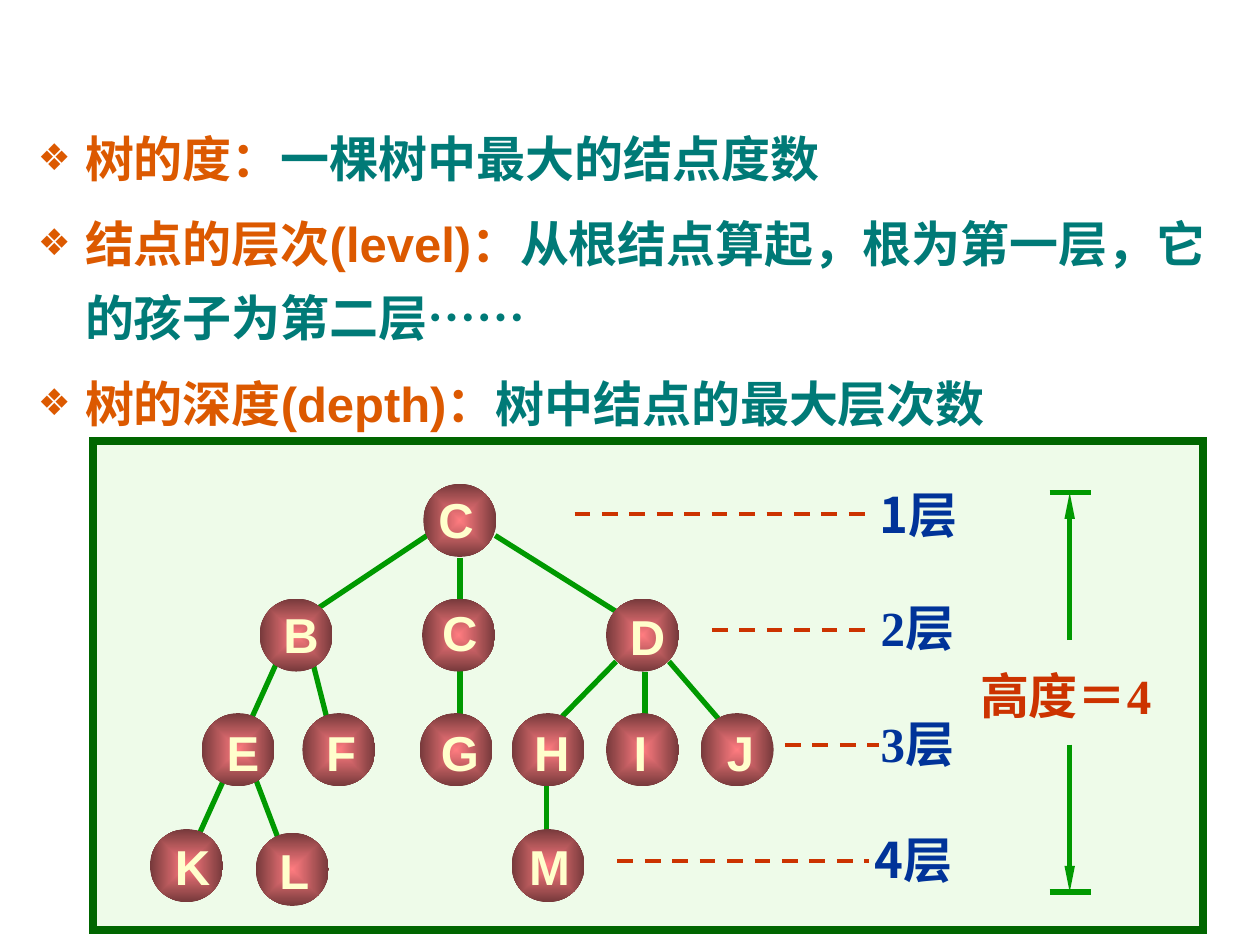
from lxml.etree import SubElement
from pptx import Presentation
from pptx.dml.color import RGBColor
from pptx.enum.dml import MSO_LINE
from pptx.enum.shapes import MSO_CONNECTOR, MSO_SHAPE
from pptx.enum.text import MSO_ANCHOR, MSO_AUTO_SIZE
from pptx.oxml import parse_xml
from pptx.oxml.ns import nsdecls, qn
from pptx.util import Inches, Pt

ORANGE = RGBColor(0xDC, 0x59, 0x00)
TEAL = RGBColor(0x00, 0x7A, 0x77)
DARK_GREEN = RGBColor(0x00, 0x66, 0x00)
PALE_GREEN = RGBColor(0xEE, 0xFB, 0xE9)
GREEN = RGBColor(0x00, 0x99, 0x00)
RED = RGBColor(0xCC, 0x33, 0x00)
BLUE = RGBColor(0x00, 0x33, 0x99)
CREAM = RGBColor(0xFF, 0xFF, 0xCC)
NODE_CENTER = RGBColor(0xFF, 0x7C, 0x80)
NODE_EDGE = RGBColor(0x76, 0x39, 0x3B)

SANS, CHINESE, SERIF = "Arial", "Noto Sans CJK SC", "Times New Roman"
COLUMNS, ROWS = 100, 75
NODE_SIZE = 5.8
LABEL_HEIGHT = 5.7
LEVEL_WIDTH = 9.1

DEFINITIONS = [
    ("树的度：", "一棵树中最大的结点度数"),
    ("结点的层次(level)：", "从根结点算起，根为第一层，它的孩子为第二层……"),
    ("树的深度(depth)：", "树中结点的最大层次数"),
]
NODES = [
    ("C", 33.6, 38.4, 33.8, 38.3, 4.8),
    ("B", 20.6, 47.5, 21.5, 47.5, 4.8),
    ("C", 33.5, 47.5, 34.1, 47.3, 4.8),
    ("D", 48.1, 47.5, 49, 47.6, 4.8),
    ("E", 16, 56.6, 17, 56.8, 4.6),
    ("F", 24, 56.6, 24.9, 56.8, 4.4),
    ("G", 33.3, 56.6, 34, 56.8, 5),
    ("H", 40.6, 56.6, 41.4, 56.8, 4.8),
    ("I", 48.1, 56.6, 49.3, 56.8, 3.1),
    ("J", 55.6, 56.6, 56.7, 56.8, 4.1),
    ("K", 11.9, 65.8, 12.9, 65.9, 4.8),
    ("L", 20.3, 66.1, 21.2, 66.2, 4.4),
    ("M", 40.6, 65.8, 41, 65.9, 5.2),
]
BRANCHES = [
    (39.3, 42.5, 49.8, 49.1), (33.9, 42.5, 24, 49.1), (36.5, 44.3, 36.5, 62),
    (53.1, 52.5, 58.1, 58.3), (48.9, 52.5, 44, 57.5), (51.2, 53.3, 51.2, 57.5),
    (43.4, 62.3, 43.4, 67.5), (24.8, 52.5, 26.3, 58.4),
    (20.2, 61.6, 22.1, 66.6), (22, 52.5, 14.5, 69.1),
]
LEVELS = [
    (45.6, 69, 40.8, "1层", 68.8, 37.9, CHINESE),
    (56.5, 69, 50, "2层", 68.9, 46.9, SERIF),
    (62.3, 69.8, 59.1, "3层", 68.9, 56.1, SERIF),
    (49, 69, 68.3, "4层", 68.4, 65.3, CHINESE),
]
HEIGHT_ENDS = [(50.8, 39.1), (59.1, 70.8)]


class TreeSlide:
    def __init__(self, deck):
        self.deck = deck
        self.page = deck.slides.add_slide(deck.slide_layouts[1])
        self.text_size = Pt(28)

    def across(self, columns):
        return round(self.deck.slide_width * columns / COLUMNS)

    def down(self, rows):
        return round(self.deck.slide_height * rows / ROWS)

    def area(self, left, top, width, height):
        return self.across(left), self.down(top), self.across(width), self.down(height)

    def span(self, para, text, color, font=SANS):
        span = para.add_run()
        span.text = text
        span.font.size, span.font.bold = self.text_size, True
        span.font.name = font
        span.font.color.rgb = color

    def definitions(self, entries, *area):
        title = self.page.shapes.title
        title.element.getparent().remove(title.element)
        box = self.page.placeholders[1]
        box.left, box.top, box.width, box.height = self.area(*area)
        frame = box.text_frame
        frame.auto_size = MSO_AUTO_SIZE.NONE
        for index, (term, meaning) in enumerate(entries):
            para = frame.add_paragraph() if index else frame.paragraphs[0]
            self.bullet(para)
            para.line_spacing = 1.25
            para.space_before = Pt(7 if index else 0)
            self.span(para, term, ORANGE)
            self.span(para, meaning, TEAL)

    def bullet(self, para):
        properties = para._p.get_or_add_pPr()
        properties.set("marL", str(self.across(3.75)))
        properties.set("indent", str(-self.across(3.75)))
        color = SubElement(properties, qn("a:buClr"))
        SubElement(color, qn("a:srgbClr"), val=str(ORANGE))
        SubElement(properties, qn("a:buSzPct"), val="75000")
        SubElement(properties, qn("a:buFont"), typeface=SANS)
        SubElement(properties, qn("a:buChar"), char="❖")

    def panel(self, *area):
        panel = self.page.shapes.add_shape(MSO_SHAPE.RECTANGLE, *self.area(*area))
        panel.shadow.inherit = False
        panel.fill.solid()
        panel.fill.fore_color.rgb = PALE_GREEN
        panel.line.color.rgb = DARK_GREEN
        panel.line.width = Pt(4.5)
        SubElement(panel.line._get_or_add_ln(), qn("a:miter"), lim="800000")

    def line(self, start, end, color, width, dashed=False, arrow=False):
        line = self.page.shapes.add_connector(
            MSO_CONNECTOR.STRAIGHT,
            self.across(start[0]), self.down(start[1]),
            self.across(end[0]), self.down(end[1]))
        line.line.color.rgb = color
        line.line.width = Pt(width)
        if dashed:
            line.line.dash_style = MSO_LINE.DASH
        if arrow:
            SubElement(line.line._get_or_add_ln(), qn("a:tailEnd"),
                       type="triangle", w="sm", len="lg")
        SubElement(line.element.spPr, qn("a:effectLst"))

    def node(self, left, top):
        node = self.page.shapes.add_shape(
            MSO_SHAPE.OVAL, *self.area(left, top, NODE_SIZE, NODE_SIZE))
        node.shadow.inherit = False
        node.line.fill.background()
        gradient = parse_xml(
            f'<a:gradFill {nsdecls("a")} rotWithShape="1"><a:gsLst>'
            f'<a:gs pos="0"><a:srgbClr val="{NODE_CENTER}"/></a:gs>'
            f'<a:gs pos="100000"><a:srgbClr val="{NODE_EDGE}"/></a:gs></a:gsLst>'
            '<a:path path="rect"><a:fillToRect l="50000" t="50000" r="50000" b="50000"/>'
            '</a:path></a:gradFill>')
        node.element.spPr.find(qn("a:prstGeom")).addnext(gradient)

    def label(self, text, left, top, width, color, font=SANS,
              height=LABEL_HEIGHT, spacing=None):
        box = self.page.shapes.add_textbox(*self.area(left, top, width, height))
        frame = box.text_frame
        frame.word_wrap = False
        frame.auto_size = MSO_AUTO_SIZE.SHAPE_TO_FIT_TEXT
        frame.vertical_anchor = MSO_ANCHOR.MIDDLE
        para = frame.paragraphs[0]
        para.line_spacing = spacing
        self.span(para, text, color, font)


def main():
    deck = Presentation()
    deck.slide_width, deck.slide_height = Inches(10), Inches(7.5)
    tree = TreeSlide(deck)
    tree.definitions(DEFINITIONS, 2, 8.5, 96.1, 52.3)
    tree.panel(7.4, 35, 88.1, 38.8)
    for start, end, row, text, left, top, font in LEVELS:
        tree.line((start, row), (end, row), RED, 2.25, dashed=True)
        tree.label(text, left, top, LEVEL_WIDTH, BLUE, font)
    tree.label("高度＝4", 76.8, 53.2, 16.5, RED, SERIF, height=4.8, spacing=0.8)
    for inner, outer in HEIGHT_ENDS:
        tree.line((83.3, outer), (86.6, outer), GREEN, 3)
        tree.line((84.9, inner), (84.9, outer), GREEN, 3, arrow=True)
    for left, top, right, bottom in BRANCHES:
        tree.line((left, top), (right, bottom), GREEN, 3)
    for letter, left, top, label_left, label_top, width in NODES:
        tree.node(left, top)
        tree.label(letter, label_left, label_top, width, CREAM)
    deck.save("out.pptx")


if __name__ == "__main__":
    main()
